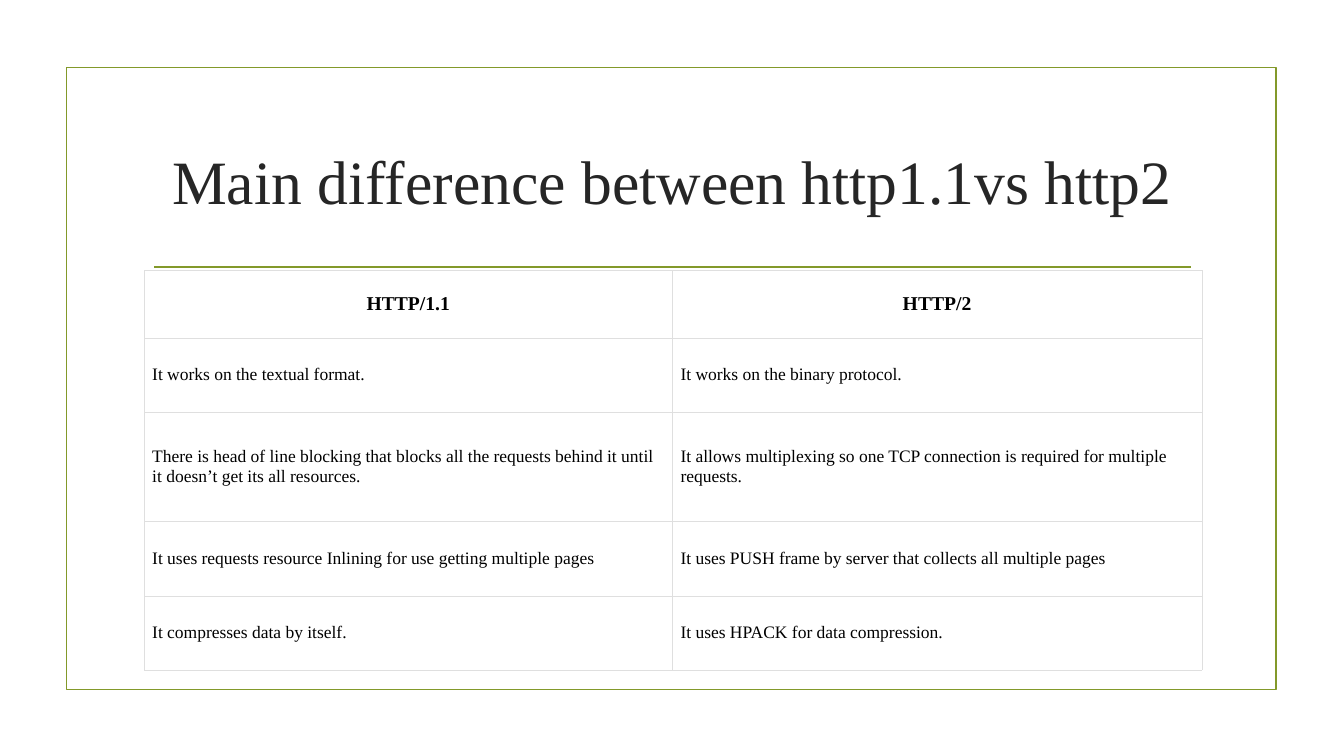
import pptx
import pptx.dml.color
import pptx.enum.shapes
import pptx.enum.text
import pptx.oxml
import pptx.oxml.ns
import pptx.util
from dataclasses import dataclass

Inches = pptx.util.Inches
Pt = pptx.util.Pt
RGBColor = pptx.dml.color.RGBColor
MIDDLE = pptx.enum.text.MSO_ANCHOR.MIDDLE
CENTER = pptx.enum.text.PP_ALIGN.CENTER
LEFT = pptx.enum.text.PP_ALIGN.LEFT


@dataclass(frozen=True)
class Theme:
    font: str = "Times New Roman"
    accent: str = "83992A"
    title: str = "262626"
    text: str = "000000"
    cell: str = "FFFFFF"
    border: str = "DFDFDF"
    title_size: float = 44
    header_size: float = 14
    body_size: float = 12.5
    rule_width: float = 1.25
    border_width: float = 0.18


theme = Theme()


def style_text(frame, size, color, align, bold=False):
    frame.word_wrap = True
    for para in frame.paragraphs:
        para.alignment = align
        for span in para.runs:
            span.font.name = theme.font
            span.font.size = Pt(size)
            span.font.bold = bold
            span.font.color.rgb = RGBColor.from_string(color)


def add_borders(cell):
    properties = cell._tc.get_or_add_tcPr()
    for index, side in enumerate(("lnL", "lnR", "lnT", "lnB")):
        border = pptx.oxml.parse_xml(
            f'<a:{side} {pptx.oxml.ns.nsdecls("a")} w="{Pt(theme.border_width)}">'
            f'<a:solidFill><a:srgbClr val="{theme.border}"/></a:solidFill></a:{side}>'
        )
        properties.insert(index, border)


deck = pptx.Presentation()
deck.slide_width = Inches(13.33)
deck.slide_height = Inches(7.5)
page = deck.slides.add_slide(deck.slide_layouts[6])

# Frame around the page
frame_box = page.shapes.add_shape(
    pptx.enum.shapes.MSO_SHAPE.RECTANGLE,
    Inches(0.66), Inches(0.67), Inches(12), Inches(6.17),
)
frame_box.shadow.inherit = False
frame_box.fill.background()

# Rule under the title
title_rule = page.shapes.add_connector(
    pptx.enum.shapes.MSO_CONNECTOR.STRAIGHT,
    Inches(1.53), Inches(2.65), Inches(11.81), Inches(2.65),
)
title_rule._element.spPr.append(
    pptx.oxml.parse_xml(f'<a:effectLst {pptx.oxml.ns.nsdecls("a")}/>')
)

for outlined in (frame_box, title_rule):
    outlined.line.color.rgb = RGBColor.from_string(theme.accent)
    outlined.line.width = Pt(theme.rule_width)

# Title
title_box = page.shapes.add_textbox(Inches(1.42), Inches(1.07), Inches(10.5), Inches(1.43))
title_box.text_frame.text = "Main difference between http1.1vs http2"
title_box.text_frame.vertical_anchor = MIDDLE
style_text(title_box.text_frame, theme.title_size, theme.title, CENTER)

# Comparison table
comparison = [
    ("HTTP/1.1", "HTTP/2"),
    ("It works on the textual format.", "It works on the binary protocol."),
    ("There is head of line blocking that blocks all the requests behind it until "
     "it doesn’t get its all resources.",
     "It allows multiplexing so one TCP connection is required for multiple requests."),
    ("It uses requests resource Inlining for use getting multiple pages",
     "It uses PUSH frame by server that collects all multiple pages"),
    ("It compresses data by itself.", "It uses HPACK for data compression."),
]
column_widths = (5.24, 5.25)
row_heights = (0.67, 0.74, 1.08, 0.74, 0.74)

table = page.shapes.add_table(
    len(comparison), len(column_widths),
    Inches(1.43), Inches(2.68), Inches(sum(column_widths)), Inches(sum(row_heights)),
).table
table.horz_banding = False
for column, width in zip(table.columns, column_widths):
    column.width = Inches(width)

for row, height, texts in zip(table.rows, row_heights, comparison):
    row.height = Inches(height)
    header = texts is comparison[0]
    for cell, text in zip(row.cells, texts):
        cell.text_frame.text = text
        cell.vertical_anchor = MIDDLE
        cell.margin_left = cell.margin_right = Inches(0.08)
        cell.margin_top = cell.margin_bottom = Inches(0.08 if header else 0.12)
        cell.fill.solid()
        cell.fill.fore_color.rgb = RGBColor.from_string(theme.cell)
        add_borders(cell)
        style_text(
            cell.text_frame,
            theme.header_size if header else theme.body_size,
            theme.text,
            CENTER if header else LEFT,
            bold=header,
        )

deck.save("out.pptx")
